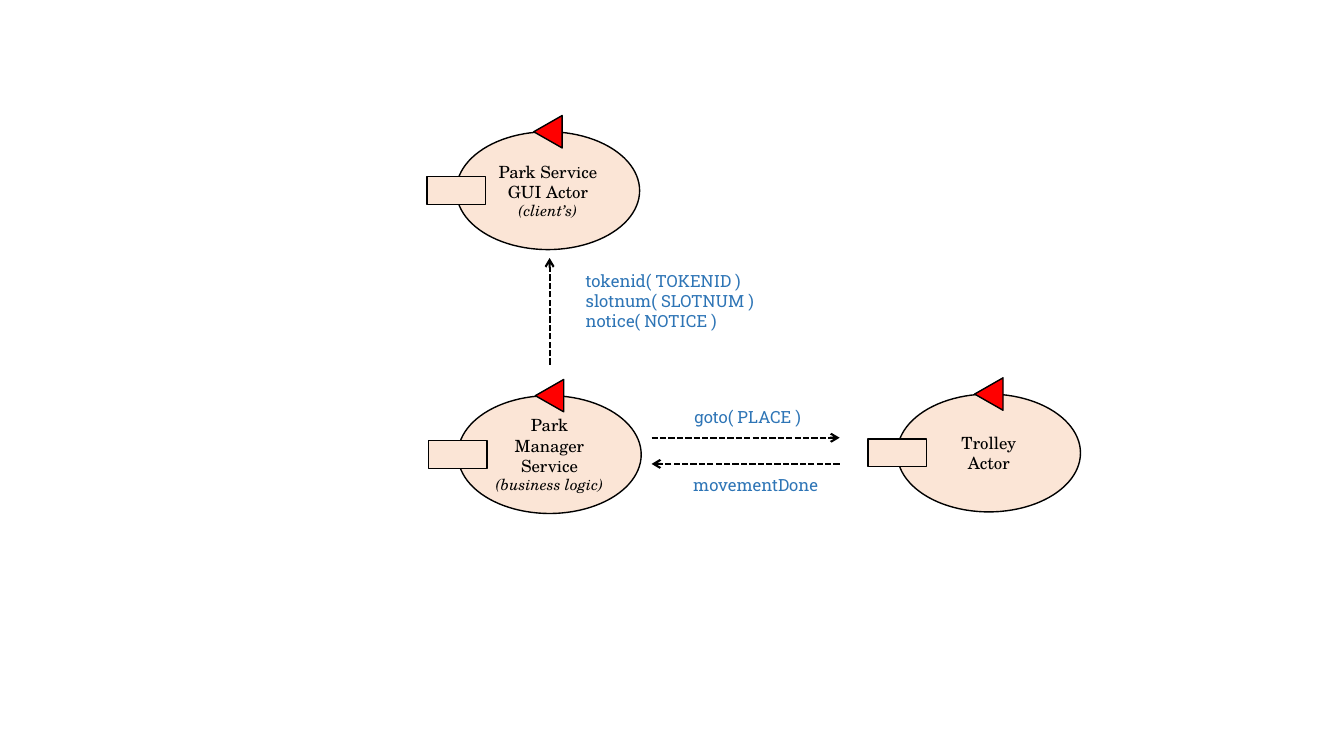
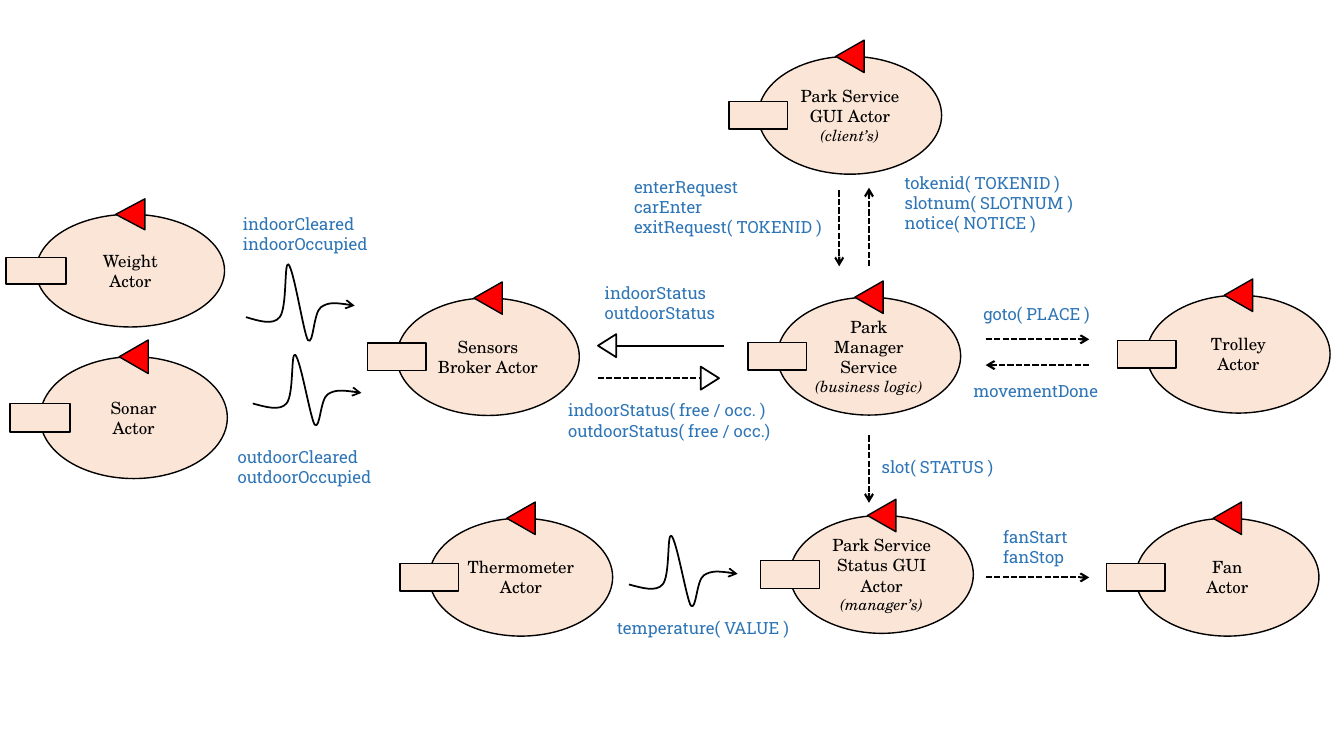
from dataclasses import dataclass

from lxml import etree
from pptx import Presentation
from pptx.dml.color import RGBColor
from pptx.enum import dml, shapes, text
from pptx.oxml.ns import qn
from pptx.util import Cm, Pt

COLORS = {
    "actor": "FBE5D6",
    "marker": "FF0000",
    "outline": "000000",
    "message": "2E75B6",
    "paper": "FFFFFF",
}
ACTOR_FONT = "TeX Gyre Schola"
MESSAGE_FONT = "Roboto Slab"

# Bézier segments (two controls and an end) as fractions of the pulse's box
PULSE_START = (0, 0.69)
PULSE_CURVES = [
    [(0.12, 0.74), (0.25, 0.8), (0.31, 0.69)],
    [(0.38, 0.57), (0.35, -0.04), (0.39, 0)],
    [(0.44, 0.06), (0.53, 0.9), (0.57, 0.99)],
    [(0.62, 1.07), (0.62, 0.63), (0.69, 0.56)],
    [(0.76, 0.49), (0.88, 0.51), (1, 0.54)],
]


@dataclass
class Actor:
    x: float
    y: float
    lines: list[str]
    note: str = ""
    w: float = 4.62
    h: float = 2.97


@dataclass
class Message:
    x: float
    y: float
    w: float
    lines: list[str]


@dataclass
class Arrow:
    x1: float
    y1: float
    x2: float
    y2: float
    dashed: bool = True
    hollow: bool = False


@dataclass
class Pulse:
    x: float
    y: float
    h: float = 1.78
    w: float = 2.74


@dataclass
class Diagram:
    actors: list[Actor]
    messages: list[Message]
    arrows: list[Arrow]
    pulses: list[Pulse]


def rgb(name: str) -> RGBColor:
    return RGBColor.from_string(COLORS[name])


def add_text(tf, line: str, *, font: str, color: str, size: float = 12,
             italic: bool = False, align=text.PP_ALIGN.LEFT) -> None:
    """Add a paragraph, using the empty first one if there is one."""
    p = tf.paragraphs[0]
    if p.runs:
        p = tf.add_paragraph()
    p.alignment = align
    r = p.add_run()
    r.text = line
    r.font.name, r.font.size, r.font.italic = font, Pt(size), italic
    r.font.color.rgb = rgb(color)


def set_line(sp, width: float) -> None:
    sp.line.color.rgb = rgb("outline")
    sp.line.width = Pt(width)


def add_arrowhead(sp) -> None:
    ln = sp.element.spPr.find(qn("a:ln"))
    etree.SubElement(ln, qn("a:tailEnd"), type="arrow")


def draw_shape(parent, kind, x: float, y: float, w: float, h: float, *,
               fill: str, line: float = 1, rotation: float = 0):
    """Draw a preset shape centred on x, y."""
    sp = parent.add_shape(kind, Cm(x - w / 2), Cm(y - h / 2), Cm(w), Cm(h))
    sp.shadow.inherit = False
    sp.fill.solid()
    sp.fill.fore_color.rgb = rgb(fill)
    set_line(sp, line)
    sp.rotation = rotation
    return sp


def draw_actor(s, a: Actor) -> None:
    group = s.shapes.add_group_shape().shapes
    cx, cy = a.x + a.w / 2, a.y + a.h / 2
    body = draw_shape(group, shapes.MSO_SHAPE.OVAL, cx, cy, a.w, a.h, fill="actor")
    draw_shape(group, shapes.MSO_SHAPE.ISOSCELES_TRIANGLE, cx, a.y,
               0.275 * a.h, 0.155 * a.w, fill="marker", rotation=270)
    draw_shape(group, shapes.MSO_SHAPE.RECTANGLE, a.x, cy,
               0.32 * a.w, 0.235 * a.h, fill="actor")
    tf = body.text_frame
    tf.word_wrap = True
    tf.vertical_anchor = text.MSO_ANCHOR.MIDDLE
    style = dict(font=ACTOR_FONT, color="outline", align=text.PP_ALIGN.CENTER)
    for line in a.lines:
        add_text(tf, line, **style)
    if a.note:
        add_text(tf, a.note, size=11, italic=True, **style)


def draw_message(s, m: Message) -> None:
    height = 0.25 + 0.51 * len(m.lines)
    tf = s.shapes.add_textbox(Cm(m.x), Cm(m.y), Cm(m.w), Cm(height)).text_frame
    tf.word_wrap = False
    tf.auto_size = text.MSO_AUTO_SIZE.SHAPE_TO_FIT_TEXT
    for line in m.lines:
        add_text(tf, line, font=MESSAGE_FONT, color="message")


def draw_arrow(s, a: Arrow) -> None:
    """Draw an arrow; a hollow head needs a horizontal one."""
    head_w, head_l = 0.58, 0.46
    sign = 1 if a.x2 > a.x1 else -1
    end = a.x2 - sign * head_l if a.hollow else a.x2
    c = s.shapes.add_connector(shapes.MSO_CONNECTOR.STRAIGHT,
                               Cm(a.x1), Cm(a.y1), Cm(end), Cm(a.y2))
    set_line(c, 1.5)
    if a.dashed:
        c.line.dash_style = dml.MSO_LINE.SQUARE_DOT
    etree.SubElement(c.element.spPr, qn("a:effectLst"))
    if a.hollow:
        draw_shape(s.shapes, shapes.MSO_SHAPE.ISOSCELES_TRIANGLE,
                   a.x2 - sign * head_l / 2, a.y2, head_w, head_l,
                   fill="paper", line=1.25, rotation=90 * sign)
    else:
        add_arrowhead(c)


def draw_pulse(s, pulse: Pulse) -> None:
    """Outline the pulse through its anchors, then bend each segment."""
    def place(point: tuple[float, float], x: float = 0, y: float = 0):
        return Cm(x + point[0] * pulse.w), Cm(y + point[1] * pulse.h)

    builder = s.shapes.build_freeform(*place(PULSE_START, pulse.x, pulse.y))
    builder.add_line_segments(
        [place(curve[-1], pulse.x, pulse.y) for curve in PULSE_CURVES], close=False)
    sp = builder.convert_to_shape()
    for segment, curve in zip(list(sp.element.iter(qn("a:lnTo"))), PULSE_CURVES):
        bend = etree.Element(qn("a:cubicBezTo"))
        for point in curve:
            x, y = place(point)
            etree.SubElement(bend, qn("a:pt"), x=str(x), y=str(y))
        segment.getparent().replace(segment, bend)
    sp.shadow.inherit = False
    sp.fill.background()
    set_line(sp, 1.25)
    add_arrowhead(sp)


def draw_diagram(prs, d: Diagram) -> None:
    s = prs.slides.add_slide(prs.slide_layouts[6])
    for draw, items in ((draw_actor, d.actors), (draw_message, d.messages),
                        (draw_arrow, d.arrows), (draw_pulse, d.pulses)):
        for item in items:
            draw(s, item)


def manager(x: float, y: float) -> Actor:
    return Actor(x, y, ["Park Manager Service"], "(business logic)")


def client_gui(x: float, y: float) -> Actor:
    return Actor(x, y, ["Park Service GUI Actor"], "(client’s)")


def plain_actor(x: float, y: float, name: str, **size: float) -> Actor:
    return Actor(x, y, [name, "Actor"], **size)


def goto(x: float, y: float) -> Message:
    return Message(x, y, 3.35, ["goto( PLACE )"])


def movement_done(x: float, y: float) -> Message:
    return Message(x, y, 3.89, ["movementDone"])


def replies(x: float, y: float) -> Message:
    return Message(x, y, 4.95, ["tokenid( TOKENID )", "slotnum( SLOTNUM )",
                                "notice( NOTICE )"])


CORE = Diagram(
    actors=[manager(11.54, 9.97), client_gui(11.5, 3.32),
            plain_actor(22.61, 9.93, "Trolley")],
    messages=[goto(17.25, 10.13), movement_done(17.22, 11.84), replies(14.51, 6.7)],
    arrows=[
        Arrow(16.42, 11.03, 21.16, 11.03),
        Arrow(21.16, 11.69, 16.42, 11.69),
        Arrow(13.85, 9.19, 13.85, 6.5),
    ],
    pulses=[],
)

FULL = Diagram(
    actors=[
        manager(19.59, 7.49),
        client_gui(19.11, 1.42),
        plain_actor(28.9, 7.44, "Trolley"),
        plain_actor(1.01, 8.99, "Sonar", w=4.72, h=3.07),
        plain_actor(0.91, 5.4, "Weight", w=4.75, h=2.84),
        Actor(10, 7.51, ["Sensors Broker Actor"], w=4.6, h=2.96),
        Actor(19.91, 12.99, ["Park Service Status GUI Actor"], "(manager’s)"),
        plain_actor(10.82, 13.06, "Thermometer"),
        plain_actor(28.62, 13.06, "Fan"),
    ],
    messages=[
        goto(24.53, 7.52),
        movement_done(24.28, 9.47),
        replies(22.55, 4.22),
        Message(5.87, 5.25, 3.81, ["indoorCleared", "indoorOccupied"]),
        Message(5.74, 11.13, 4.09, ["outdoorCleared", "outdoorOccupied"]),
        Message(14.99, 6.99, 3.51, ["indoorStatus", "outdoorStatus"]),
        Message(14.07, 9.96, 6.02, ["indoorStatus( free / occ. )",
                                    "outdoorStatus( free / occ.)"]),
        Message(15.73, 4.32, 5.51, ["enterRequest", "carEnter",
                                    "exitRequest( TOKENID )"]),
        Message(15.3, 15.44, 5.11, ["temperature( VALUE )"]),
        Message(21.97, 11.38, 3.53, ["slot( STATUS )"]),
        Message(25.03, 13.14, 2.21, ["fanStart", "fanStop"]),
    ],
    arrows=[
        Arrow(24.84, 8.55, 27.45, 8.55),
        Arrow(27.45, 9.2, 24.84, 9.2),
        Arrow(21.9, 6.71, 21.9, 4.73),
        Arrow(21.15, 4.8, 21.15, 6.71),
        Arrow(21.9, 10.97, 21.9, 12.67),
        Arrow(24.84, 14.55, 27.45, 14.55),
        Arrow(18.24, 8.71, 15.07, 8.71, dashed=False, hollow=True),
        Arrow(15.06, 9.53, 18.12, 9.53, hollow=True),
    ],
    pulses=[Pulse(6.2, 6.66, h=1.93), Pulse(6.37, 8.94), Pulse(15.85, 13.5)],
)


def main() -> None:
    prs = Presentation()
    prs.slide_width, prs.slide_height = Cm(33.87), Cm(19.05)
    for diagram in (CORE, FULL):
        draw_diagram(prs, diagram)
    prs.save("out.pptx")


if __name__ == "__main__":
    main()
